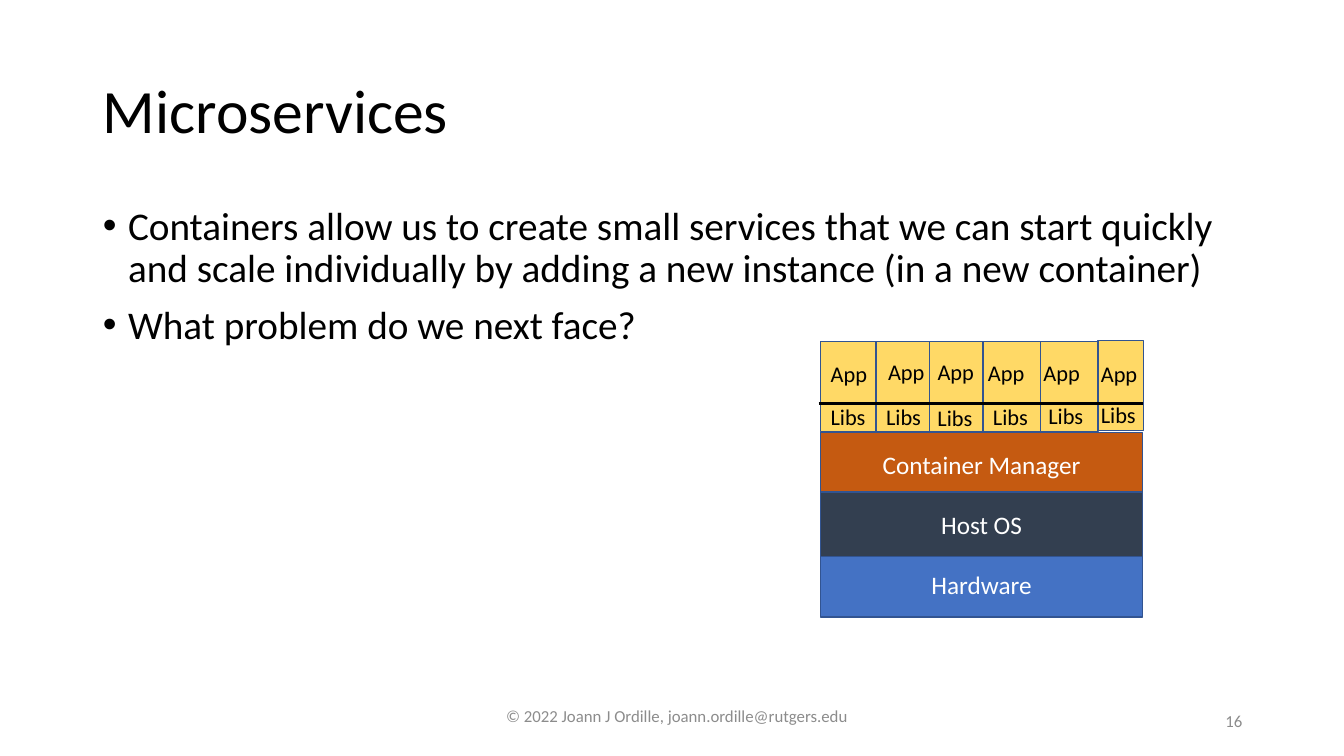
from lxml import etree
from pptx import Presentation
from pptx.dml.color import RGBColor
from pptx.enum.shapes import MSO_CONNECTOR, MSO_SHAPE
from pptx.enum.text import MSO_ANCHOR, MSO_AUTO_SIZE, PP_ALIGN
from pptx.oxml.ns import qn
from pptx.util import Inches, Pt

RECTANGLE = MSO_SHAPE.RECTANGLE
STRAIGHT = MSO_CONNECTOR.STRAIGHT
LEFT, CENTER, RIGHT = PP_ALIGN.LEFT, PP_ALIGN.CENTER, PP_ALIGN.RIGHT
TOP, MIDDLE = MSO_ANCHOR.TOP, MSO_ANCHOR.MIDDLE
NO_AUTOFIT = MSO_AUTO_SIZE.NONE

COLORS = {
    "text": "000000",
    "light_text": "FFFFFF",
    "footer": "8C8C8C",
    "outline": "325491",
    "container": "FFD966",
    "manager": "C55A11",
    "host": "333F50",
    "hardware": "4472C4",
}

STACK_LEFT, STACK_WIDTH = 8.14, 3.19
LAYER_HEIGHT, CONTAINER_HEIGHT, LABEL_HEIGHT = 0.64, 0.89, 0.37


def write(shape, text, size, color, align=LEFT, anchor=TOP):
    """Fill a shape with text, one paragraph per line, in a single style."""
    frame = shape.text_frame
    frame.text = text
    frame.word_wrap = True
    frame.auto_size = NO_AUTOFIT
    frame.vertical_anchor = anchor
    for paragraph in frame.paragraphs:
        paragraph.alignment = align
        for run in paragraph.runs:
            run.font.name = "Calibri"
            run.font.size = Pt(size)
            run.font.color.rgb = RGBColor.from_string(COLORS[color])


def add_block(left, top, width, height, fill):
    block = slide.shapes.add_shape(
        RECTANGLE, Inches(left), Inches(top), Inches(width), Inches(height))
    block.shadow.inherit = False
    block.fill.solid()
    block.fill.fore_color.rgb = RGBColor.from_string(COLORS[fill])
    block.line.color.rgb = RGBColor.from_string(COLORS["outline"])
    block.line.width = Pt(1)
    return block


presentation = Presentation()
presentation.slide_width = Inches(13.33)
presentation.slide_height = Inches(7.5)
slide = presentation.slides.add_slide(presentation.slide_layouts[1])

# Title and bullets
title, body = slide.shapes.title, slide.placeholders[1]
for placeholder, top, height in ((title, 0.4, 1.45), (body, 2, 4.76)):
    placeholder.left, placeholder.top = Inches(0.92), Inches(top)
    placeholder.width, placeholder.height = Inches(11.5), Inches(height)

write(title, "Microservices", 44, "text", anchor=MIDDLE)
title.text_frame.paragraphs[0].line_spacing = 0.9

write(body, "Containers allow us to create small services that we can start quickly "
      "and scale individually by adding a new instance (in a new container)\n"
      "What problem do we next face?", 28, "text")
for index, paragraph in enumerate(body.text_frame.paragraphs):
    properties = paragraph._p.get_or_add_pPr()
    properties.set("marL", str(Inches(0.25)))
    properties.set("indent", str(-Inches(0.25)))
    etree.SubElement(properties, qn("a:buFont")).set("typeface", "Arial")
    etree.SubElement(properties, qn("a:buChar")).set("char", "•")
    paragraph.line_spacing = 0.9
    paragraph.space_before = Pt(10 if index else 0)

# Layers below the containers; each overlaps the one behind it
layers = (
    ("Hardware", 5.48, "hardware"),
    ("Container Manager", 4.29, "manager"),
    ("Host OS", 4.88, "host"),
)
for name, top, fill in layers:
    layer = add_block(STACK_LEFT, top, STACK_WIDTH, LAYER_HEIGHT, fill)
    write(layer, name, 18, "light_text", CENTER, MIDDLE)

# Containers: left, top, width, then left and top of the App and Libs labels
containers = (
    (8.14, 3.39, 0.57, (8.14, 3.52), (8.14, 3.95)),
    (8.69, 3.39, 0.57, (8.71, 3.50), (8.69, 3.95)),
    (9.22, 3.39, 0.54, (9.20, 3.50), (9.20, 3.96)),
    (9.75, 3.39, 0.57, (9.70, 3.51), (9.75, 3.95)),
    (10.32, 3.39, 0.57, (10.25, 3.51), (10.30, 3.94)),
    (10.89, 3.38, 0.45, (10.82, 3.52), (10.82, 3.93)),
)
for left, top, width, *_ in containers:
    add_block(left, top, width, CONTAINER_HEIGHT, "container")

divider = slide.shapes.add_connector(
    STRAIGHT, Inches(8.12), Inches(4), Inches(11.34), Inches(4))
divider.line.color.rgb = RGBColor.from_string(COLORS["text"])
divider.line.width = Pt(2)
etree.SubElement(divider._element.spPr, qn("a:effectLst"))

for *_, app_position, libs_position in containers:
    for text, (left, top), width in (("App", app_position, 0.59),
                                     ("Libs", libs_position, 0.56)):
        label = slide.shapes.add_textbox(
            Inches(left), Inches(top), Inches(width), Inches(LABEL_HEIGHT))
        write(label, text, 16, "text")
        label.text_frame.margin_right = 0

# Footer and slide number
footers = (
    ("© 2022 Joann J Ordille, joann.ordille@rutgers.edu", 4.27, 6.9, 4.89, CENTER),
    ("16", 9.42, 6.95, 3, RIGHT),
)
for text, left, top, width, align in footers:
    footer = slide.shapes.add_textbox(
        Inches(left), Inches(top), Inches(width), Inches(0.4))
    write(footer, text, 12, "footer", align, MIDDLE)

presentation.save("out.pptx")
